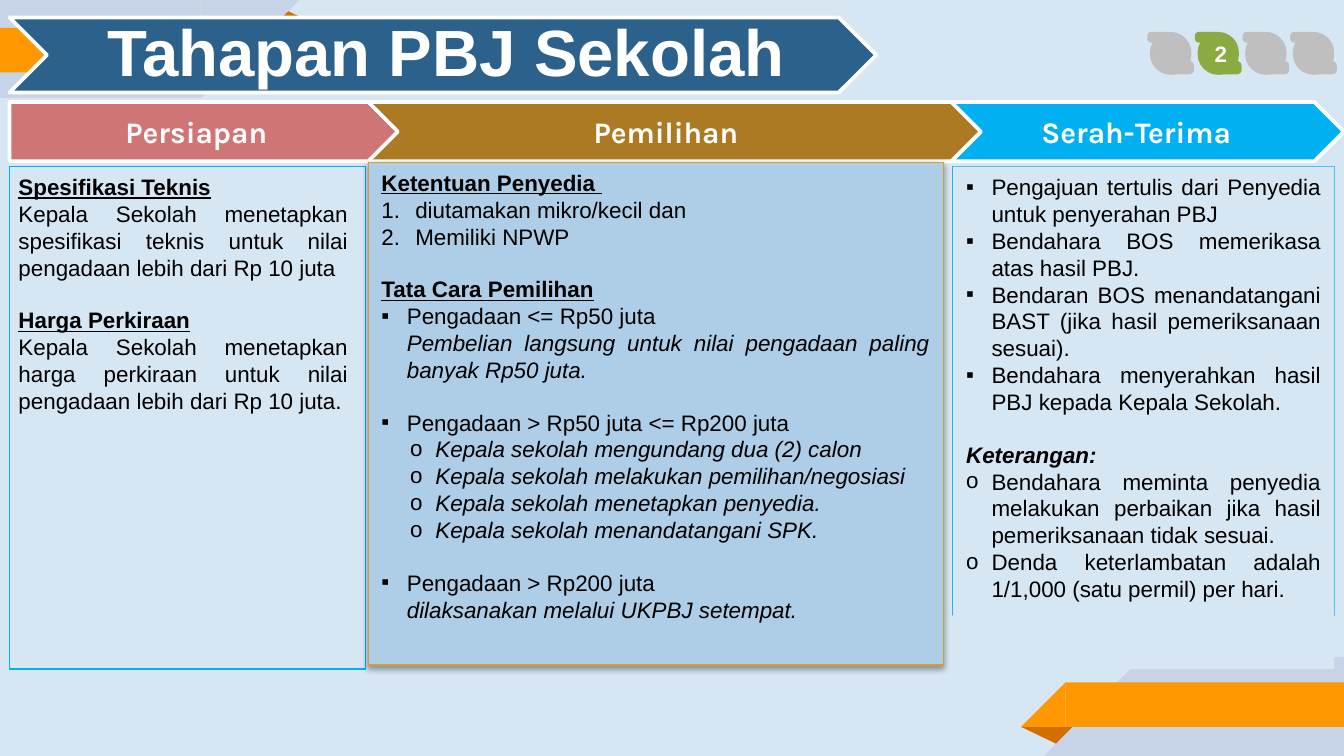
from dataclasses import dataclass

from lxml.etree import SubElement
from pptx import Presentation
from pptx.dml.color import RGBColor
from pptx.enum.shapes import MSO_AUTO_SHAPE_TYPE as Preset
from pptx.enum.text import MSO_VERTICAL_ANCHOR as Anchor, PP_PARAGRAPH_ALIGNMENT as Align
from pptx.oxml.ns import qn
from pptx.util import Cm, Pt

COLORS = {
    "background": "D6E6F2", "mist": "C7D3E6", "orange": "FF9800", "rust": "D26F00",
    "navy": "2B618B", "green": "8BAB42", "grey": "BFBFBF", "sky": "00B0F0",
    "brown": "AB7A22", "rose": "D07576", "panel": "AECDE6", "gold": "D79D34",
    "white": "FFFFFF", "black": "000000",
}


@dataclass
class TextStyle:
    bold: bool = False
    italic: bool = False
    underline: bool = False
    bullet: str = ""
    left: float = 0
    hanging: float = 0


STYLES = {
    "heading": TextStyle(bold=True, underline=True),
    "remark": TextStyle(bold=True, italic=True),
    "body": TextStyle(),
    "number": TextStyle(bullet="1.", left=0.64, hanging=0.64),
    "square": TextStyle(bullet="▪", left=0.48, hanging=0.48),
    "circle": TextStyle(bullet="o", left=0.48, hanging=0.48),
    "step": TextStyle(italic=True, bullet="o", left=1.02, hanging=0.48),
    "note": TextStyle(italic=True, left=0.48),
}

PREPARATION = [
    ("heading", "Spesifikasi Teknis"),
    ("body", "Kepala Sekolah menetapkan spesifikasi teknis untuk nilai pengadaan lebih dari Rp 10 juta"),
    ("gap heading", "Harga Perkiraan"),
    ("body", "Kepala Sekolah menetapkan harga perkiraan untuk nilai pengadaan lebih dari Rp 10 juta."),
]
SELECTION = [
    ("heading", "Ketentuan Penyedia "),
    ("number", "diutamakan mikro/kecil dan"),
    ("number", "Memiliki NPWP"),
    ("gap heading", "Tata Cara Pemilihan"),
    ("square", "Pengadaan <= Rp50 juta"),
    ("note", "Pembelian langsung untuk nilai pengadaan paling banyak Rp50 juta."),
    ("gap square", "Pengadaan > Rp50 juta <= Rp200 juta"),
    ("step", "Kepala sekolah mengundang dua (2) calon"),
    ("step", "Kepala sekolah melakukan pemilihan/negosiasi"),
    ("step", "Kepala sekolah menetapkan penyedia."),
    ("step", "Kepala sekolah menandatangani SPK."),
    ("gap square", "Pengadaan > Rp200 juta"),
    ("note", "dilaksanakan melalui UKPBJ setempat."),
]
HANDOVER = [
    ("square", "Pengajuan tertulis dari Penyedia untuk penyerahan PBJ"),
    ("square", "Bendahara BOS memerikasa atas hasil PBJ."),
    ("square", "Bendaran BOS menandatangani BAST (jika hasil pemeriksanaan sesuai)."),
    ("square", "Bendahara menyerahkan hasil PBJ kepada Kepala Sekolah."),
    ("gap remark", "Keterangan:"),
    ("circle", "Bendahara meminta penyedia melakukan perbaikan jika hasil pemeriksanaan tidak sesuai."),
    ("circle", "Denda keterlambatan adalah 1/1,000 (satu permil) per hari."),
]


class SlideBuilder:
    font = "Arial"
    heading_font = "Karla"
    body_size = 12
    line_gap = 13.8

    def __init__(self, slide):
        self.slide = slide
        slide.background.fill.solid()
        slide.background.fill.fore_color.rgb = self.color("background")

    def color(self, name):
        return RGBColor.from_string(COLORS[name])

    def shape(self, preset, box, fill=None, line=None, width=0.75, adjust=None, rotation=0, flip=False):
        shape = self.slide.shapes.add_shape(preset, *map(Cm, box))
        shape.shadow.inherit = False
        shape.rotation = rotation
        if fill:
            shape.fill.solid()
            shape.fill.fore_color.rgb = self.color(fill)
        else:
            shape.fill.background()
        if line:
            shape.line.color.rgb = self.color(line)
            shape.line.width = Pt(width)
        else:
            shape.line.fill.background()
        if adjust is not None:
            shape.adjustments[0] = adjust
        if flip:
            shape.element.spPr.find(qn("a:xfrm")).set("flipH", "1")
        return shape

    def text_box(self, box):
        return self.slide.shapes.add_textbox(*map(Cm, box))

    def run(self, paragraph, text, size, color, font, bold=False, italic=False, underline=False):
        run = paragraph.add_run()
        run.text = text
        run.font.name = font
        run.font.size = Pt(size)
        run.font.color.rgb = self.color(color)
        run.font.bold = bold
        run.font.italic = italic
        run.font.underline = underline
        return run

    def label(self, shape, text, size, font, insets=None):
        frame = shape.text_frame
        frame.word_wrap = True
        frame.vertical_anchor = Anchor.MIDDLE
        if insets:
            frame.margin_left, frame.margin_top, frame.margin_right, frame.margin_bottom = map(Cm, insets)
        paragraph = frame.paragraphs[0]
        paragraph.alignment = Align.CENTER
        self.run(paragraph, text, size, "white", font, bold=True)
        return paragraph

    def bullet(self, paragraph, style):
        properties = paragraph._p.get_or_add_pPr()
        properties.set("marL", str(Cm(style.left)))
        properties.set("indent", str(-Cm(style.hanging)))
        if not style.bullet:
            return
        bullet_color = SubElement(properties, qn("a:buClr"))
        SubElement(bullet_color, qn("a:srgbClr"), val=COLORS["black"])
        SubElement(properties, qn("a:buFont"), typeface=self.font)
        if style.bullet == "1.":
            SubElement(properties, qn("a:buAutoNum"), type="arabicPeriod")
        else:
            SubElement(properties, qn("a:buChar"), char=style.bullet)

    def body(self, shape, items):
        frame = shape.text_frame
        frame.word_wrap = True
        frame.vertical_anchor = Anchor.TOP
        for index, (kind, text) in enumerate(items):
            paragraph = frame.add_paragraph() if index else frame.paragraphs[0]
            style = STYLES[kind.split()[-1]]
            self.bullet(paragraph, style)
            paragraph.alignment = Align.JUSTIFY
            if kind.startswith("gap"):
                paragraph.space_before = Pt(self.line_gap)
            self.run(paragraph, text, self.body_size, "black", self.font,
                     style.bold, style.italic, style.underline)

    def drop_shadow(self, shape):
        effects = shape.element.spPr.find(qn("a:effectLst"))
        shadow = SubElement(effects, qn("a:outerShdw"), blurRad=str(Pt(3.1)), dist=str(Pt(1.6)),
                            dir="5400000", rotWithShape="0")
        shadow_color = SubElement(shadow, qn("a:srgbClr"), val=COLORS["black"])
        SubElement(shadow_color, qn("a:alpha"), val="38000")

    def ribbon(self, fold, corner, slope, band, tip, fold_rotation, rotation):
        self.shape(Preset.ISOSCELES_TRIANGLE, fold, "rust", adjust=0.32, rotation=fold_rotation)
        for flat, slanted, fill in ((corner, slope, "mist"), (band, tip, "orange")):
            self.shape(Preset.RECTANGLE, flat, fill)
            self.shape(Preset.RIGHT_TRIANGLE, slanted, fill, rotation=rotation, flip=True)

    def leaf(self, left, fill, text=None):
        parts = ((0.4, 1.19, 0.41, 0.18, 0.28), (0, 0.64, 0.41, 0.13, 0.28), (0.05, 0.64, 0.71, 0.74, 0.5))
        for offset, top, width, height, adjust in parts:
            shape = self.shape(Preset.ROUNDED_RECTANGLE, (left + offset, top, width, height),
                               fill, fill, 2, adjust)
        if text:
            paragraph = self.label(shape, text, self.body_size, self.font, (0.1, 0, 0, 0))
            paragraph.runs[0].font._element.set("spc", "-110")

    def stage(self, left, width, fill, text):
        shape = self.shape(Preset.PENTAGON, (left, 1.93, width, 1.12), fill, "white", 2)
        self.label(shape, text, 16, self.heading_font)


def main():
    presentation = Presentation()
    presentation.slide_width, presentation.slide_height = Cm(25.4), Cm(14.29)
    builder = SlideBuilder(presentation.slides.add_slide(presentation.slide_layouts[6]))

    builder.ribbon((19.3, 13.74, 1.1, 0.36), (21.59, 12.42, 3.81, 1.87), (19.73, 12.42, 1.86, 1.87),
                   (20.14, 12.9, 5.26, 0.84), (19.3, 12.9, 0.84, 0.84), 180, 0)
    builder.ribbon((5.03, 0.18, 1.1, 0.36), (0, 0, 3.81, 1.85), (3.81, 0, 1.85, 1.85),
                   (0, 0.53, 5.27, 0.84), (5.27, 0.53, 0.84, 0.84), 0, 180)

    builder.shape(Preset.CHEVRON, (0.18, 0.33, 16.38, 1.42), "navy", "white", 2)
    title = builder.label(builder.text_box((0.89, 0.33, 14.96, 1.42)), "Tahapan PBJ Sekolah",
                          35, builder.font, (0.13, 0.05, 0, 0.05))
    title.line_spacing = 0.9

    for index in range(4):
        current = index == 1
        builder.leaf(21.72 + 0.9 * index, "green" if current else "grey", "2" if current else None)

    builder.stage(17.83, 7.57, "sky", "Serah-Terima")
    builder.stage(6.91, 11.63, "brown", "Pemilihan")
    builder.stage(0.18, 7.34, "rose", "Persiapan")

    builder.shape(Preset.RECTANGLE, (0.18, 3.15, 6.73, 9.5), line="sky")
    builder.shape(Preset.RECTANGLE, (18.01, 3.15, 7.21, 8.48), "background", "sky")
    selection = builder.shape(Preset.RECTANGLE, (6.96, 3.07, 10.87, 9.5), "panel", "gold")
    builder.drop_shadow(selection)
    builder.body(selection, SELECTION)
    builder.body(builder.text_box((0.1, 3.15, 6.73, 5.38)), PREPARATION)
    builder.body(builder.shape(Preset.RECTANGLE, (18.01, 3.15, 7.21, 9.5), "background"), HANDOVER)

    presentation.save("out.pptx")


if __name__ == "__main__":
    main()
